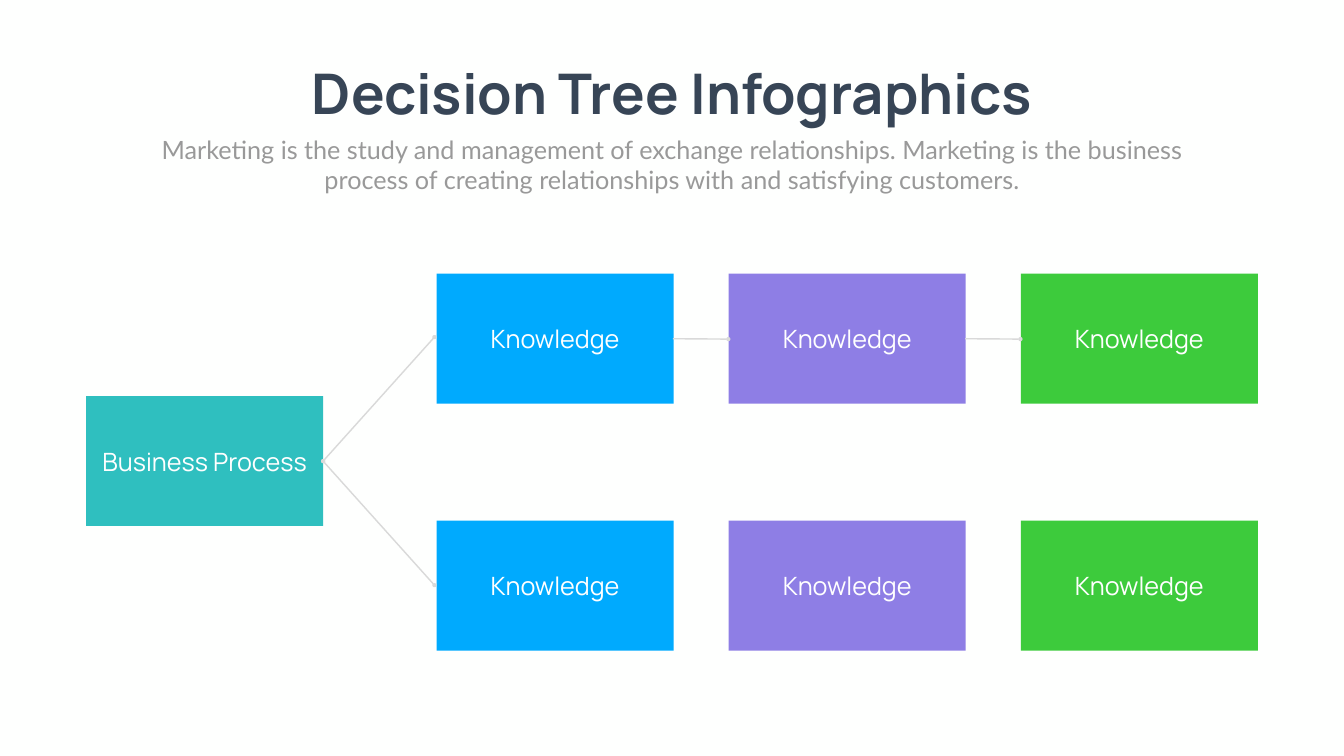
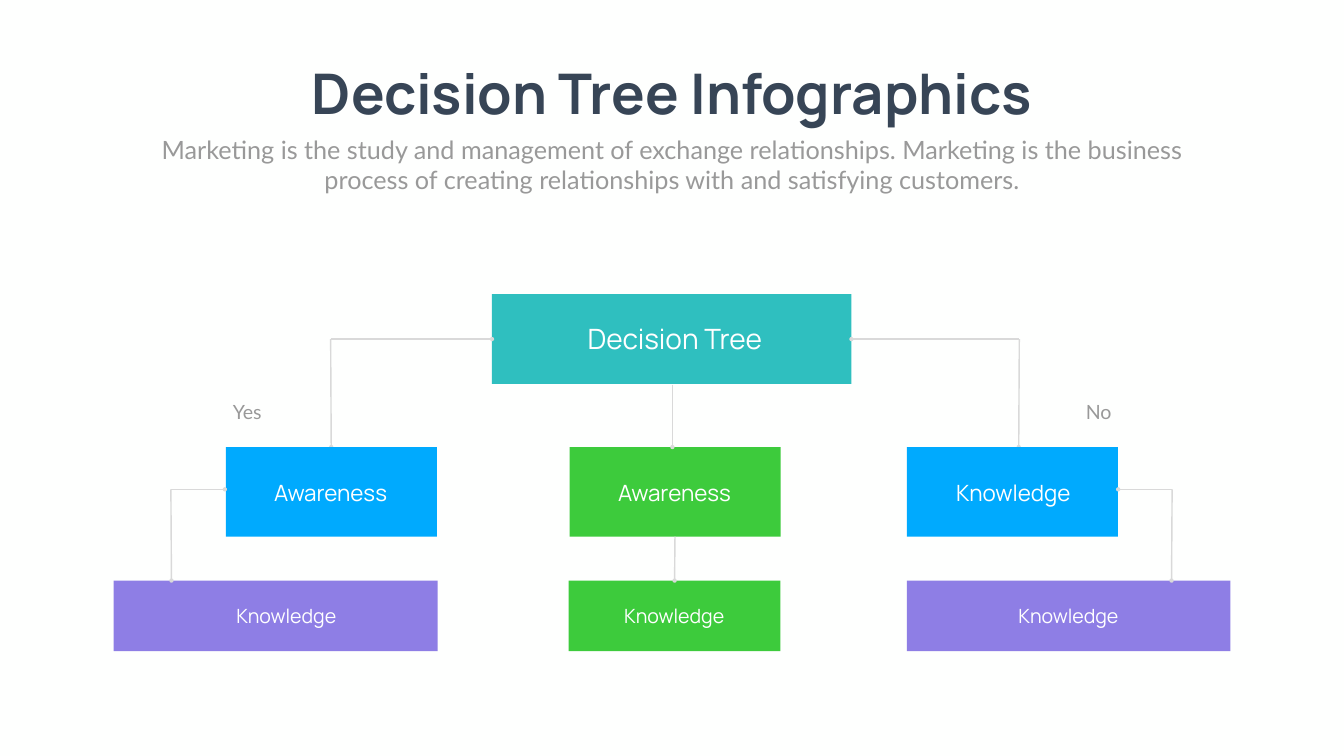
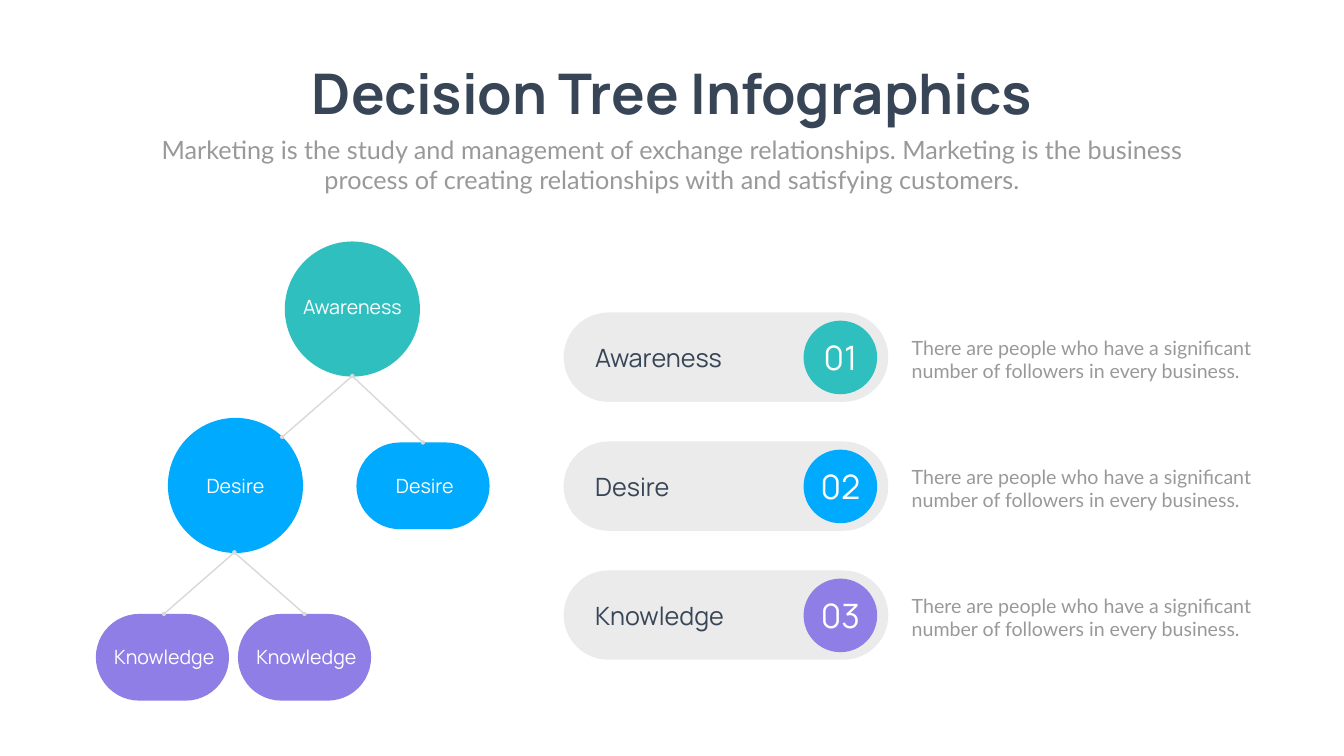
from lxml import etree
from pptx import Presentation
from pptx.dml.color import RGBColor
from pptx.enum.shapes import MSO_CONNECTOR, MSO_SHAPE
from pptx.enum.text import MSO_ANCHOR, MSO_AUTO_SIZE, PP_ALIGN
from pptx.oxml.ns import qn
from pptx.util import Cm, Pt

RECT, PILL, DISC = MSO_SHAPE.RECTANGLE, MSO_SHAPE.ROUNDED_RECTANGLE, MSO_SHAPE.OVAL
STRAIGHT = MSO_CONNECTOR.STRAIGHT
LEFT, CENTER = PP_ALIGN.LEFT, PP_ALIGN.CENTER
MIDDLE = MSO_ANCHOR.MIDDLE
GROW = MSO_AUTO_SIZE.SHAPE_TO_FIT_TEXT

COLORS = {
    "paper": "FEFFFE", "white": "FFFFFF", "navy": "374556", "gray": "999999",
    "line": "D9D9D9", "bar": "EBEBEB", "teal": "2FBFBF", "blue": "00AAFE",
    "violet": "8E7EE5", "green": "3DCB3C",
}
HEAD, BODY = "Manrope", "Lato"
TITLE = "Decision Tree Infographics"
INTRO = ("Marketing is the study and management of exchange relationships. "
         "Marketing is the business process of creating relationships with "
         "and satisfying customers.")
NOTE = "There are people who have a significant number of followers in every business."


def rgb(name):
    return RGBColor.from_string(COLORS[name])


def write(frame, text, size=28, font=HEAD, color="white", bold=False,
          align=CENTER, wrap=True):
    frame.word_wrap = wrap
    para = frame.paragraphs[0]
    para.alignment = align
    run = para.add_run()
    run.text = text
    run.font.size = Pt(size)
    run.font.name = font
    run.font.bold = bold
    run.font.color.rgb = rgb(color)


class Deck:
    """Holds the shared style and the current slide; lengths are in cm."""

    def __init__(self):
        self.prs = Presentation()
        self.prs.slide_width, self.prs.slide_height = Cm(67.72), Cm(38.1)
        self.slide = None

    def page(self):
        self.slide = self.prs.slides.add_slide(self.prs.slide_layouts[6])
        fill = self.slide.background.fill
        fill.solid()
        fill.fore_color.rgb = rgb("paper")
        self.text(TITLE, 14.17, 2.84, 39.4, 3.68, size=80, color="navy",
                  bold=True, wrap=False)
        self.text(INTRO, 7.42, 6.63, 52.88, 3.33, size=36, font=BODY, color="gray")

    def text(self, text, x, y, w, h, **style):
        box = self.slide.shapes.add_textbox(Cm(x), Cm(y), Cm(w), Cm(h))
        write(box.text_frame, text, **style)
        box.text_frame.auto_size = GROW

    def shape(self, kind, color, x, y, w, h, text=None, **style):
        item = self.slide.shapes.add_shape(kind, Cm(x), Cm(y), Cm(w), Cm(h))
        item.shadow.inherit = False
        item.fill.solid()
        item.fill.fore_color.rgb = rgb(color)
        item.line.fill.background()
        if kind == PILL:
            item.adjustments[0] = 0.5
        if text:
            item.text_frame.vertical_anchor = MIDDLE
            write(item.text_frame, text, **style)

    def line(self, start, end, head=False, tail=False):
        link = self.slide.shapes.add_connector(STRAIGHT, *map(Cm, start + end))
        link.line.color.rgb = rgb("line")
        link.line.width = Pt(2)
        pen = link.line._get_or_add_ln()
        for name, used in (("a:headEnd", head), ("a:tailEnd", tail)):
            if used:
                etree.SubElement(pen, qn(name), type="oval")
        etree.SubElement(link._element.spPr, qn("a:effectLst"))

    def elbow(self, start, turn, end):
        self.line(start, turn, head=True)
        self.line(turn, end, tail=True)


def flow(deck):
    deck.page()
    wide, high, step = 11.94, 6.55, 14.72

    # Root and two rows of boxes
    deck.shape(RECT, "teal", 4.34, 19.96, wide, high, "Business Process", size=36)
    for col, color in enumerate(("blue", "violet", "green")):
        for top in (13.79, 26.24):
            deck.shape(RECT, color, 22 + col * step, top, wide, high,
                       "Knowledge", size=36)

    # Branches and chain
    for y in (29.49, 16.99):
        deck.line((21.89, y), (16.28, 23.24), head=True, tail=True)
    for col in range(2):
        x = 33.91 + col * step
        deck.line((x, 17.07), (x + 2.79, 17.09), tail=True)


def tree(deck):
    deck.page()

    # Root
    deck.shape(RECT, "teal", 24.79, 14.83, 18.11, 4.52)
    deck.text("Decision Tree", 25.7, 16.08, 16.61, 1.96, size=40)
    deck.elbow((16.69, 22.53), (16.66, 17.09), (24.79, 17.09))
    deck.elbow((51.33, 22.53), (51.36, 17.09), (42.9, 17.09))

    # Middle row: left, colour, text left, text
    for x, color, inner, text in ((11.38, "blue", 12.34, "Awareness"),
                                  (28.7, "green", 29.67, "Awareness"),
                                  (45.69, "blue", 46.74, "Knowledge")):
        deck.shape(RECT, color, x, 22.53, 10.64, 4.52)
        deck.text(text, inner, 24.03, 8.64, 1.63, size=32)

    # Bottom row: left, width, colour, text left, text width
    for x, w, color, inner, span in ((5.72, 16.33, "violet", 9.65, 9.55),
                                     (28.65, 10.67, "green", 30.61, 6.73),
                                     (45.69, 16.31, "violet", 50.47, 6.73)):
        deck.shape(RECT, color, x, 29.26, w, 3.56)
        deck.text("Knowledge", inner, 30.3, span, 1.45)

    # Answers
    for text, x in (("Yes", 10.49), ("No", 53.39)):
        deck.text(text, x, 20.04, 3.94, 1.45, font=BODY, color="gray")

    # Links to the lower rows
    deck.line((33.88, 19.38), (33.88, 22.53), tail=True)
    deck.line((34.01, 27.05), (33.99, 29.26), tail=True)
    deck.elbow((8.64, 29.26), (8.61, 24.66), (11.33, 24.66))
    deck.elbow((59.03, 29.26), (59.06, 24.66), (56.34, 24.66))


def legend(deck):
    deck.page()

    # Tree nodes
    for text, color, x, y in (("Desire", "blue", 17.96, 22.3),
                              ("Knowledge", "violet", 4.83, 30.94),
                              ("Knowledge", "violet", 11.99, 30.94)):
        deck.shape(PILL, color, x, y, 6.71, 4.37)
        deck.text(text, x + 0.18, y + 1.45, 6.53, 1.45)
    for text, color, x, y, inner in (("Desire", "blue", 8.46, 21.06, 23.77),
                                     ("Awareness", "teal", 14.35, 12.17, 14.73)):
        deck.shape(DISC, color, x, y, 6.81, 6.81)
        deck.text(text, x - 0.66, inner, 8.13, 1.45)

    # Branches
    for start, ends in (((17.75, 18.95), ((14.22, 22.02), (21.31, 22.3))),
                        ((11.81, 27.84), ((8.26, 30.94), (15.34, 30.94)))):
        for end in ends:
            deck.line(start, end, head=True, tail=True)

    # Numbered bars
    rows = (("Awareness", "teal"), ("Desire", "blue"), ("Knowledge", "violet"))
    for row, (text, color) in enumerate(rows):
        y = 15.75 + row * 6.5
        deck.shape(PILL, "bar", 28.4, y, 16.36, 4.5)
        deck.shape(DISC, color, 40.49, y + 0.41, 3.71, 3.71, f"{row + 1:02}", size=48)
        deck.text(text, 29.74, y + 1.37, 9.09, 1.8, size=36, color="navy", align=LEFT)
        deck.text(NOTE, 45.69, y + 1.04, 17.98, 2.64, font=BODY, color="gray",
                  align=LEFT)


def main():
    deck = Deck()
    for build in (flow, tree, legend):
        build(deck)
    deck.prs.save("out.pptx")


if __name__ == "__main__":
    main()
